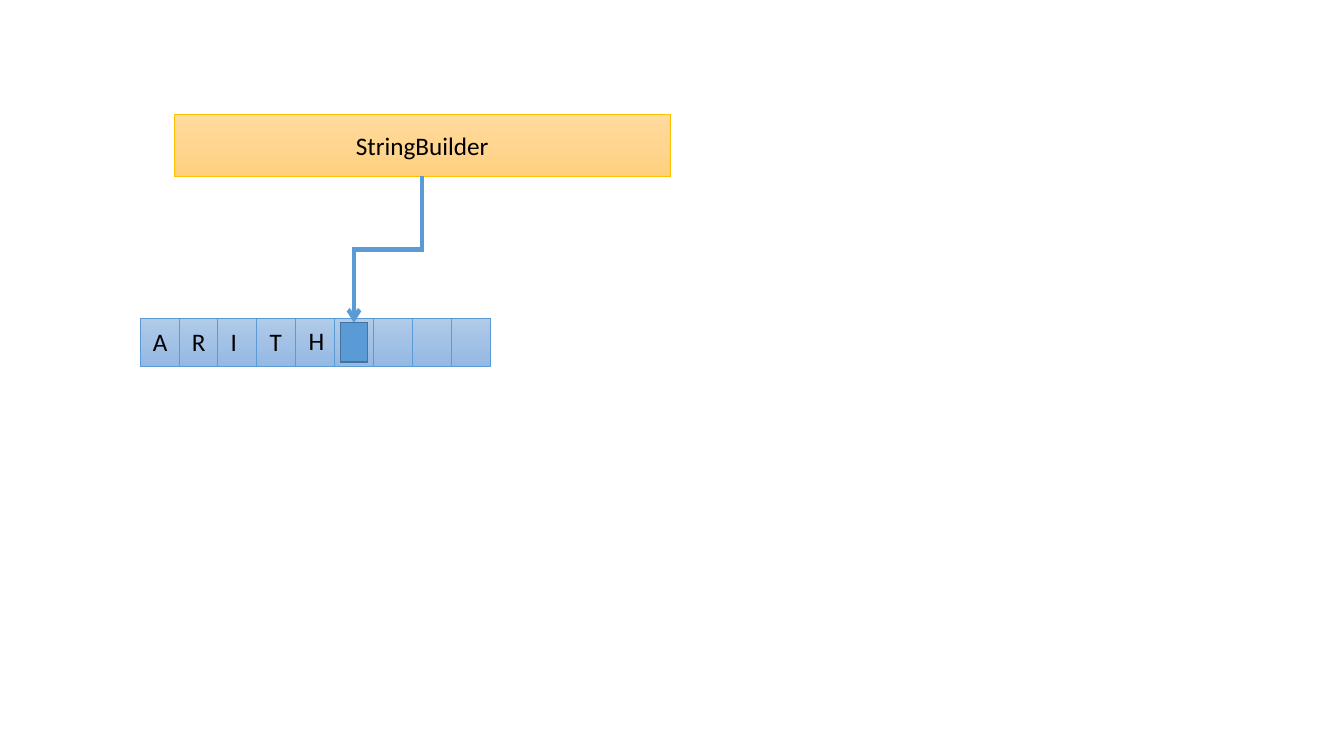
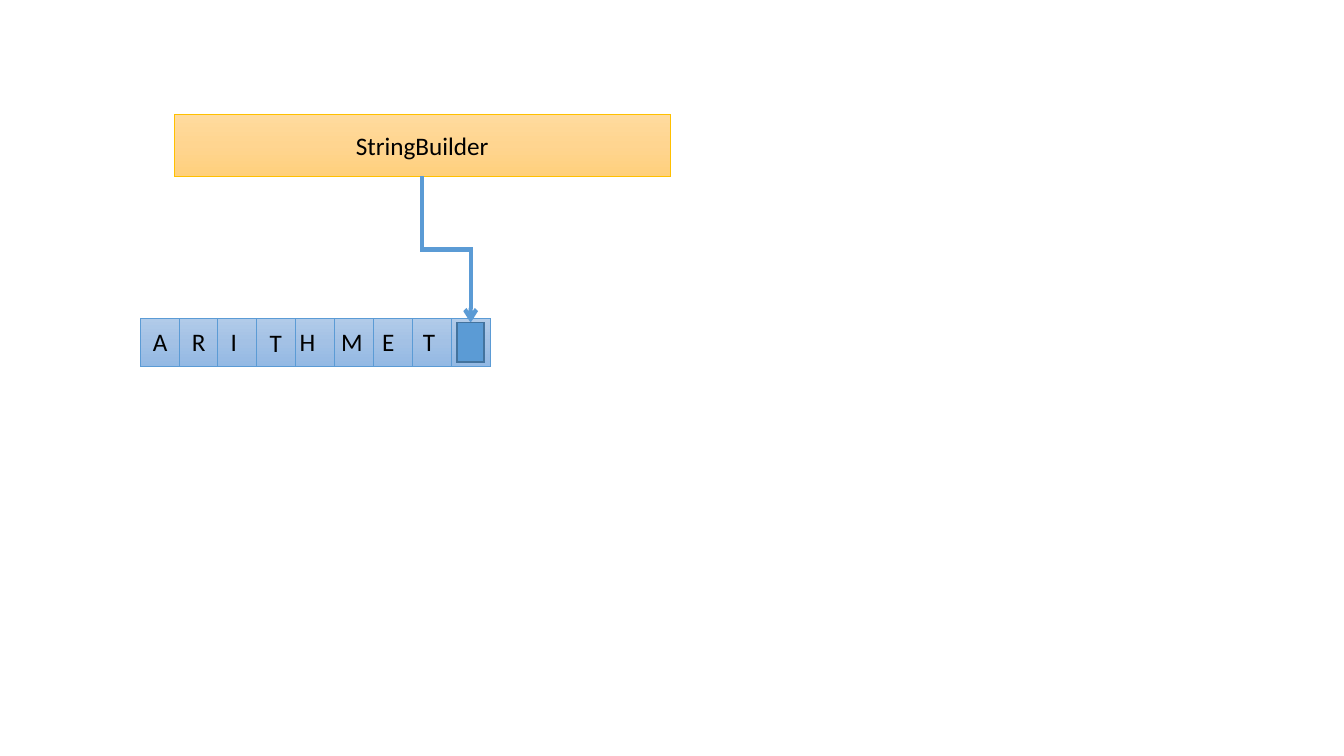
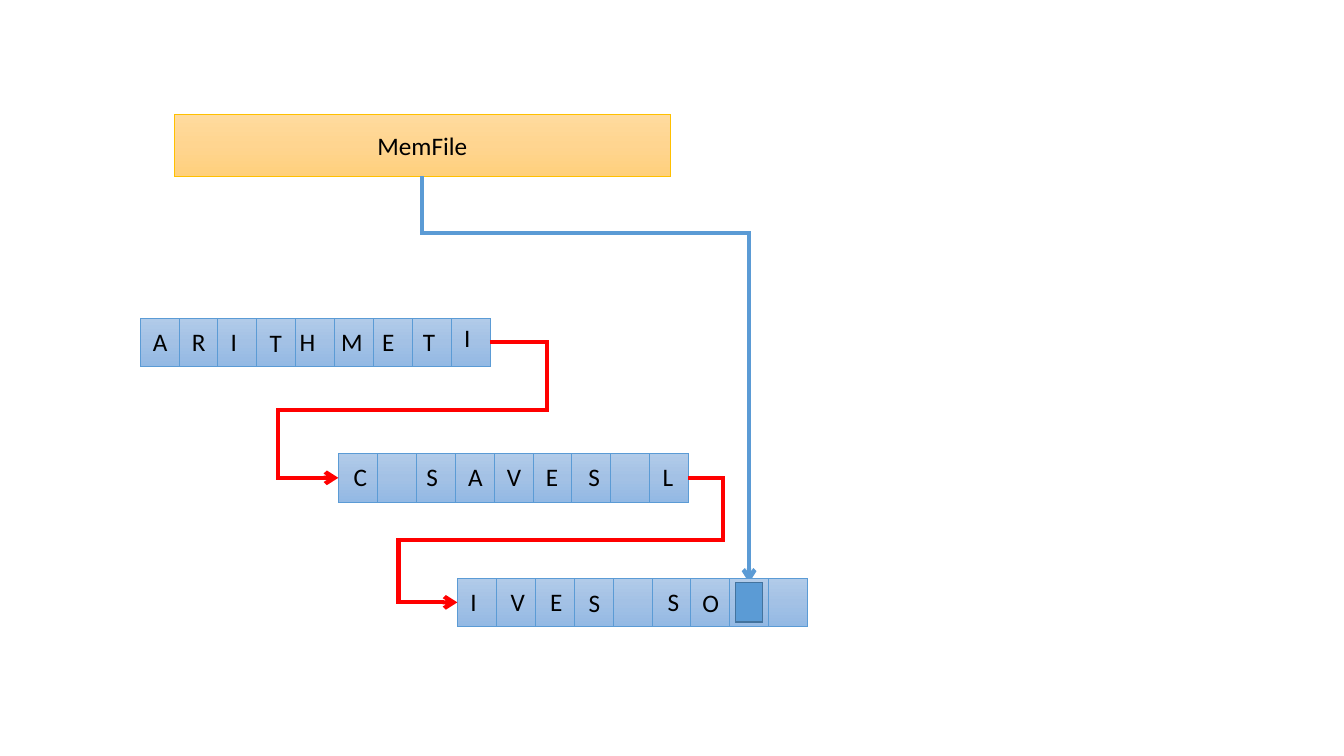
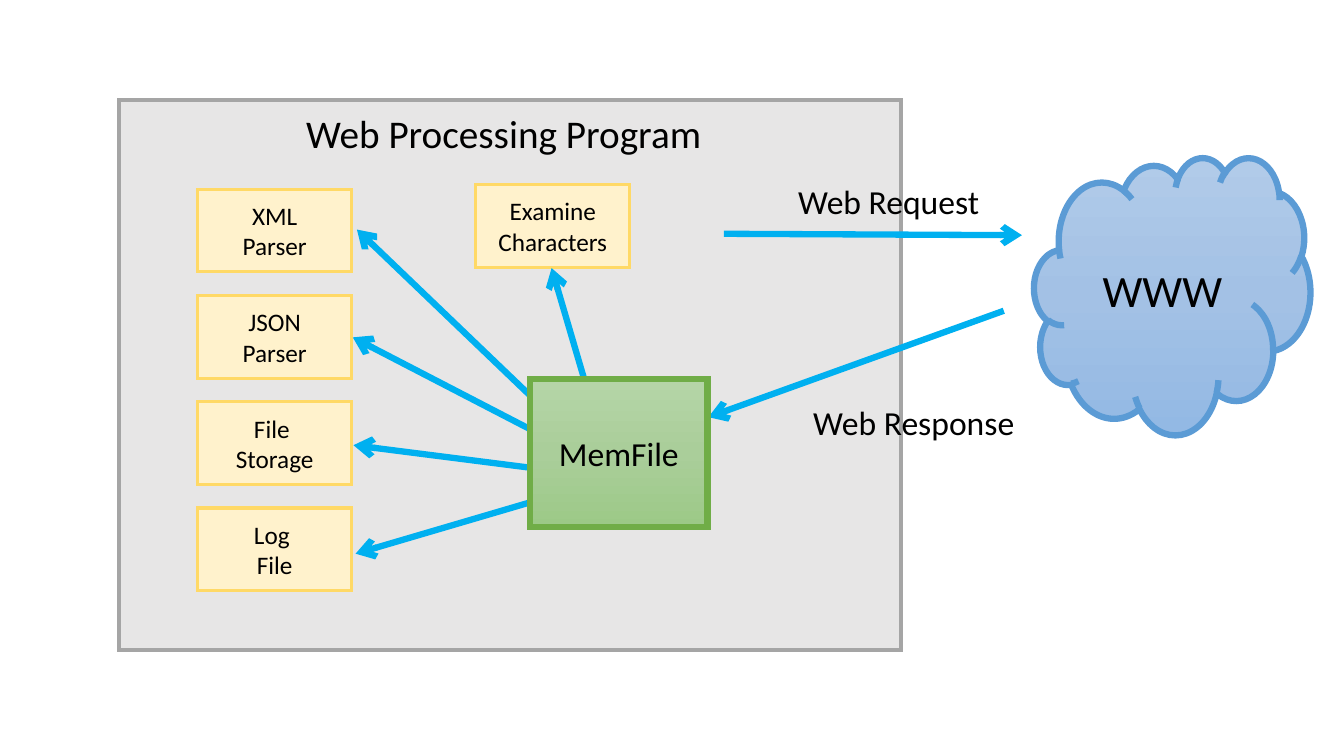
from copy import deepcopy
from dataclasses import dataclass, field
from typing import Any, NamedTuple

from lxml import etree
from pptx import Presentation
from pptx.dml import color
from pptx.enum import shapes, text
from pptx.oxml.ns import qn
from pptx.slide import Slide
from pptx.util import Pt


# Theme: colours, type sizes and line widths
@dataclass(frozen=True)
class Theme:
    font: str = "Calibri"
    ink: str = "000000"
    orange: tuple[str, ...] = ("FFDB9E", "FFD590", "FFD07C")
    orange_line: str = "FFC000"
    blue: tuple[str, ...] = ("B1CBE9", "A3C1E5", "93B9E4")
    blue_line: str = "5B9BD5"
    cursor_line: str = "43739E"
    green: tuple[str, ...] = ("B5D5A7", "AACE9A", "9CC987")
    green_line: str = "70AD47"
    yellow: tuple[str, ...] = ("FFF2CC",)
    yellow_line: str = "FFD966"
    grey: tuple[str, ...] = ("E7E6E6",)
    grey_line: str = "A5A5A5"
    link: str = "FF0000"
    flow: str = "00B0F0"
    body: float = 18
    label: float = 24
    heading: float = 28
    cloud: float = 32
    hairline: float = 0.5
    thin: float = 1
    medium: float = 2.25
    thick: float = 3
    heavy: float = 4.5


T = Theme()


class Rect(NamedTuple):
    left: float
    top: float
    width: float
    height: float

    @property
    def mid_y(self) -> float:
        return self.top + self.height / 2


class Point(NamedTuple):
    x: float
    y: float


class Style(NamedTuple):
    fill: tuple[str, ...]
    line: str
    width: float


class Arrow(NamedTuple):
    start: Point
    end: Point


class Link(NamedTuple):
    exit: float
    entry: float


@dataclass(frozen=True)
class Buffer:
    left: float
    top: float
    letters: str
    nudges: dict[int, tuple[float, float]] = field(default_factory=dict)

    @property
    def box(self) -> Rect:
        return Rect(self.left, self.top, CELLS * CELL_W, CELL_H)

    def cell_left(self, cell: int) -> float:
        return self.left + cell * CELL_W


@dataclass(frozen=True)
class BufferSlide:
    owner: str
    buffers: tuple[Buffer, ...]
    cursor_cell: int
    bend: float = 0.5
    links: tuple[Link, ...] = ()


# Drawing helpers
def style_outline(obj: Any, hex_colour: str, width: float, arrow: bool = False) -> None:
    obj.line.color.rgb = color.RGBColor.from_string(hex_colour)
    obj.line.width = Pt(width)
    ln = obj._element.spPr.find(qn("a:ln"))
    etree.SubElement(ln, qn("a:miter")).set("lim", "800000")
    if arrow:
        etree.SubElement(ln, qn("a:tailEnd")).set("type", "arrow")


def style_fill(sp: Any, colours: tuple[str, ...]) -> None:
    if len(colours) == 1:
        sp.fill.solid()
        sp.fill.fore_color.rgb = color.RGBColor.from_string(colours[0])
        return
    sp.fill.gradient()
    sp.fill.gradient_angle = 270
    stops = sp._element.spPr.find(f".//{qn('a:gsLst')}")
    stops.insert(1, deepcopy(stops[0]))
    for i, (stop, hex_colour) in enumerate(zip(sp.fill.gradient_stops, colours)):
        stop.position = i / (len(colours) - 1)
        stop.color.rgb = color.RGBColor.from_string(hex_colour)


def add_run(p: Any, words: str, size: float) -> None:
    r = p.add_run()
    r.text = words
    r.font.name = T.font
    r.font.size = Pt(size)
    r.font.color.rgb = color.RGBColor.from_string(T.ink)


def add_box(parent: Any, at: Rect, style: Style, lines: tuple[str, ...] = (),
            size: float = T.body, kind: Any = shapes.MSO_SHAPE.RECTANGLE) -> None:
    sp = parent.add_shape(kind, *map(Pt, at))
    sp.shadow.inherit = False
    style_fill(sp, style.fill)
    style_outline(sp, style.line, style.width)
    tf = sp.text_frame
    tf.vertical_anchor = text.MSO_ANCHOR.MIDDLE
    for i, words in enumerate(lines):
        p = tf.add_paragraph() if i else tf.paragraphs[0]
        p.alignment = text.PP_ALIGN.CENTER
        add_run(p, words, size)


def add_label(s: Slide, at: Rect, words: str, size: float) -> None:
    tf = s.shapes.add_textbox(*map(Pt, at)).text_frame
    tf.word_wrap = False
    tf.auto_size = text.MSO_AUTO_SIZE.SHAPE_TO_FIT_TEXT
    add_run(tf.paragraphs[0], words, size)


def add_line(parent: Any, start: Point, end: Point, hex_colour: str, width: float,
             arrow: bool = False, elbow: bool = False) -> Any:
    kind = shapes.MSO_CONNECTOR.ELBOW if elbow else shapes.MSO_CONNECTOR.STRAIGHT
    line = parent.add_connector(kind, *map(Pt, (*start, *end)))
    style_outline(line, hex_colour, width, arrow)
    etree.SubElement(line._element.spPr, qn("a:effectLst"))
    return line


def set_bends(line: Any, preset: str, bends: dict[str, float]) -> None:
    geom = line._element.spPr.find(qn("a:prstGeom"))
    geom.set("prst", preset)
    guides = geom.find(qn("a:avLst"))
    if guides is None:
        guides = etree.SubElement(geom, qn("a:avLst"))
    for name, value in bends.items():
        guide = etree.SubElement(guides, qn("a:gd"))
        guide.set("name", name)
        guide.set("fmla", f"val {round(value * 100000)}")


def add_drop_arrow(s: Slide, start: Point, end: Point, bend: float) -> None:
    """Elbow arrow that leaves downwards: a horizontal elbow, turned."""
    mid = Point((start.x + end.x) / 2, (start.y + end.y) / 2)
    half_w, half_h = (end.y - start.y) / 2, abs(end.x - start.x) / 2
    line = add_line(s.shapes, Point(mid.x - half_w, mid.y - half_h),
                    Point(mid.x + half_w, mid.y + half_h),
                    T.blue_line, T.thick, arrow=True, elbow=True)
    xfrm = line._element.spPr.find(qn("a:xfrm"))
    rightward = end.x > start.x
    xfrm.set("rot", str((270 if rightward else 90) * 60000))
    if rightward:
        xfrm.set("flipH", "1")
    set_bends(line, "bentConnector3", {"adj1": bend})


def add_link(s: Slide, source: Rect, target: Rect, link: Link) -> None:
    start = Point(source.left + source.width, source.mid_y)
    end = Point(target.left, target.mid_y)
    line = add_line(s.shapes, start, end, T.link, T.thick, arrow=True, elbow=True)
    span = start.x - end.x
    set_bends(line, "bentConnector5", {"adj1": -link.exit / span, "adj2": 0.5,
                                       "adj3": 1 + link.entry / span})


# Buffer slides
CELLS, CELL_W, CELL_H = 9, 27.78, 34.6
CURSOR_W, CURSOR_H = 19.4, 28.1
LETTER_DX, LETTER_DY, LETTER_H = 2.2, 2.3, 29
LETTER_W = {"A": 25, "C": 24.5, "E": 23, "H": 26, "I": 19.5, "L": 22.3, "M": 30.5,
            "O": 26.6, "R": 25, "S": 23, "T": 23, "V": 25}
OWNER = Rect(124.5, 81.5, 354.25, 44.5)
OWNER_STYLE = Style(T.orange, T.orange_line, T.hairline)
BUFFER_STYLE = Style(T.blue, T.blue_line, T.hairline)
CURSOR_STYLE = Style((T.blue_line,), T.cursor_line, T.thin)


def add_buffer(s: Slide, buffer: Buffer) -> None:
    group = s.shapes.add_group_shape().shapes
    box = buffer.box
    add_box(group, box, BUFFER_STYLE)
    for cell in range(1, CELLS):
        x = buffer.cell_left(cell)
        add_line(group, Point(x, box.top), Point(x, box.top + box.height),
                 T.blue_line, T.hairline)
    for cell, letter in enumerate(buffer.letters):
        if letter == " ":
            continue
        dx, dy = buffer.nudges.get(cell, (0, 0))
        at = Rect(buffer.cell_left(cell) + LETTER_DX + dx, box.top + LETTER_DY + dy,
                  LETTER_W[letter], LETTER_H)
        add_label(s, at, letter, T.body)


def draw_buffer_slide(s: Slide, page: BufferSlide) -> None:
    add_box(s.shapes, OWNER, OWNER_STYLE, (page.owner,))
    first, *others = page.buffers
    last = page.buffers[-1]
    cursor = Rect(last.cell_left(page.cursor_cell) + (CELL_W - CURSOR_W) / 2,
                  last.top + (CELL_H - CURSOR_H) / 2, CURSOR_W, CURSOR_H)
    add_buffer(s, first)
    add_drop_arrow(s, Point(OWNER.left + OWNER.width / 2, OWNER.top + OWNER.height),
                   Point(cursor.left + CURSOR_W / 2, cursor.top), page.bend)
    for buffer in others:
        add_buffer(s, buffer)
    for source, target, link in zip(page.buffers, others, page.links):
        add_link(s, source.box, target.box, link)
    add_box(s.shapes, cursor, CURSOR_STYLE)


FIRST = Point(100, 227.25)
FULL_NUDGES = {3: (0, 0.7), 4: (-6.3, 0), 5: (-4.5, 0), 6: (-3, 0), 7: (-1.7, 0),
               8: (0, -2.7)}
BUFFER_SLIDES = (
    BufferSlide("StringBuilder", (Buffer(*FIRST, "ARITH", {4: (0, -0.7)}),), 5),
    BufferSlide("StringBuilder", (Buffer(*FIRST, "ARITHMET", FULL_NUDGES),), 8),
    BufferSlide(
        "MemFile",
        (Buffer(*FIRST, "ARITHMETI", FULL_NUDGES),
         Buffer(241.75, 324, "C SAVES L", {0: (1.5, 0), 2: (-2, 0), 6: (2.5, 0)}),
         Buffer(326.75, 413, "IVES SO", {1: (1, 0), 2: (1.3, 0), 3: (1, 1),
                                         5: (2, 0), 6: (-1, 1)})),
        cursor_cell=7, bend=0.14, links=(Link(41, 43), Link(25, 42))),
)


# Program overview slide
TASK_W, TASK_H, TASK_PITCH = 110.2, 59, 75.9
TASKS = (("XML", "Parser"), ("JSON", "Parser"), ("File ", "Storage"), ("Log ", "File"))
TASK_STYLE = Style(T.yellow, T.yellow_line, T.medium)
ARROWS = (
    Arrow(Point(517, 167), Point(730, 168)),
    Arrow(Point(717, 222), Point(506, 298)),
    Arrow(Point(387.5, 291), Point(255, 164)),
    Arrow(Point(393, 314), Point(252, 241)),
    Arrow(Point(386, 335), Point(252.5, 318)),
    Arrow(Point(390, 355.5), Point(254, 395.5)),
    Arrow(Point(420, 280), Point(394, 191.5)),
)


def draw_overview(s: Slide) -> None:
    # Cloud and program panel
    add_box(s.shapes, Rect(738.7, 112.3, 197.3, 198), Style(T.blue, T.blue_line, T.heavy),
            ("WWW",), T.cloud, shapes.MSO_SHAPE.CLOUD)
    add_box(s.shapes, Rect(85, 71.3, 558.7, 393.1), Style(T.grey, T.grey_line, T.thick))
    # Tasks
    for i, lines in enumerate(TASKS):
        add_box(s.shapes, Rect(141.1, 135.2 + i * TASK_PITCH, TASK_W, TASK_H),
                TASK_STYLE, lines)
    add_box(s.shapes, Rect(339.8, 131.8, TASK_W, TASK_H), TASK_STYLE,
            ("Examine", "Characters"))
    # Flows, with the file over their starting points
    for arrow in ARROWS:
        add_line(s.shapes, arrow.start, arrow.end, T.flow, T.heavy, arrow=True)
    add_box(s.shapes, Rect(378.7, 270.7, 126.7, 105.8),
            Style(T.green, T.green_line, T.heavy), ("MemFile",), T.label)
    # Labels
    add_label(s, Rect(563, 126, 145.4, 36), "Web Request", T.label)
    add_label(s, Rect(573.8, 283.7, 159.8, 36), "Web Response", T.label)
    add_label(s, Rect(211.7, 74.9, 299.5, 41), "Web Processing Program", T.heading)


# Build
def main() -> None:
    prs = Presentation()
    prs.slide_width, prs.slide_height = Pt(960), Pt(540)
    blank = prs.slide_layouts[6]
    for page in BUFFER_SLIDES:
        draw_buffer_slide(prs.slides.add_slide(blank), page)
    draw_overview(prs.slides.add_slide(blank))
    prs.save("out.pptx")


main()
